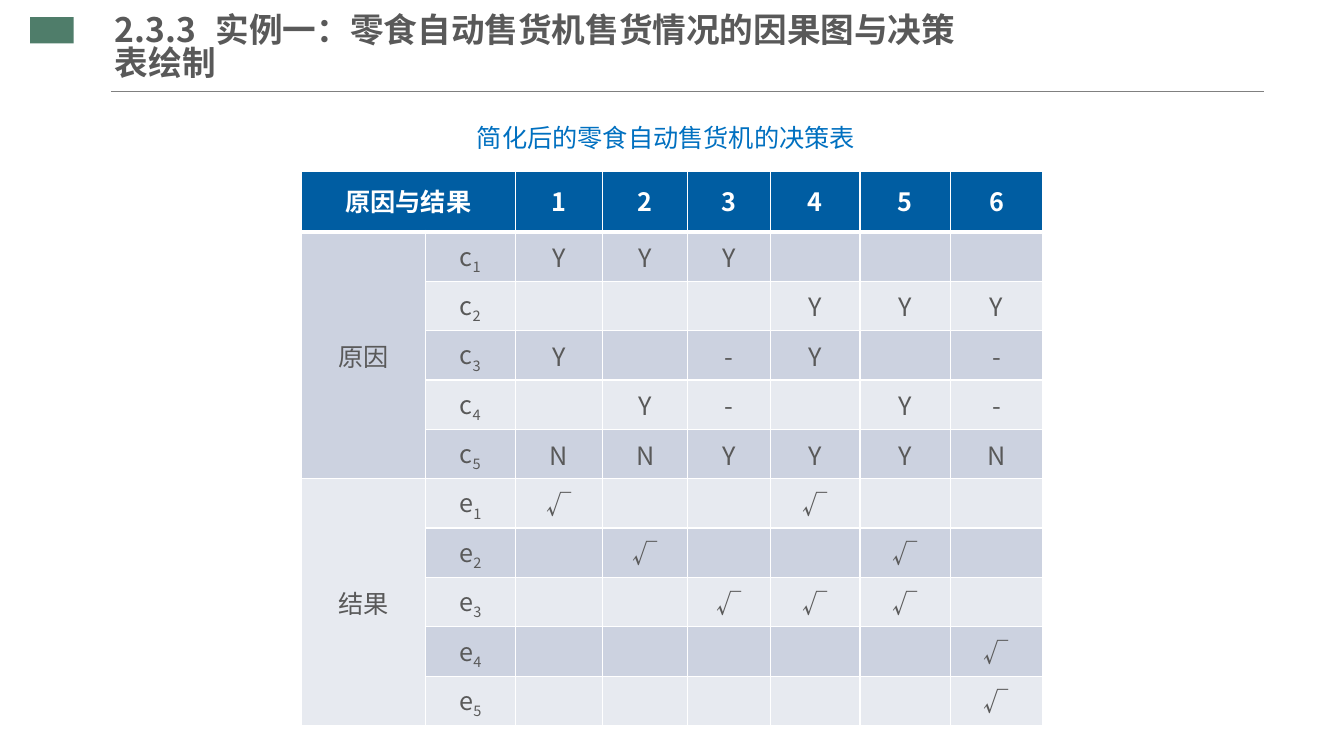
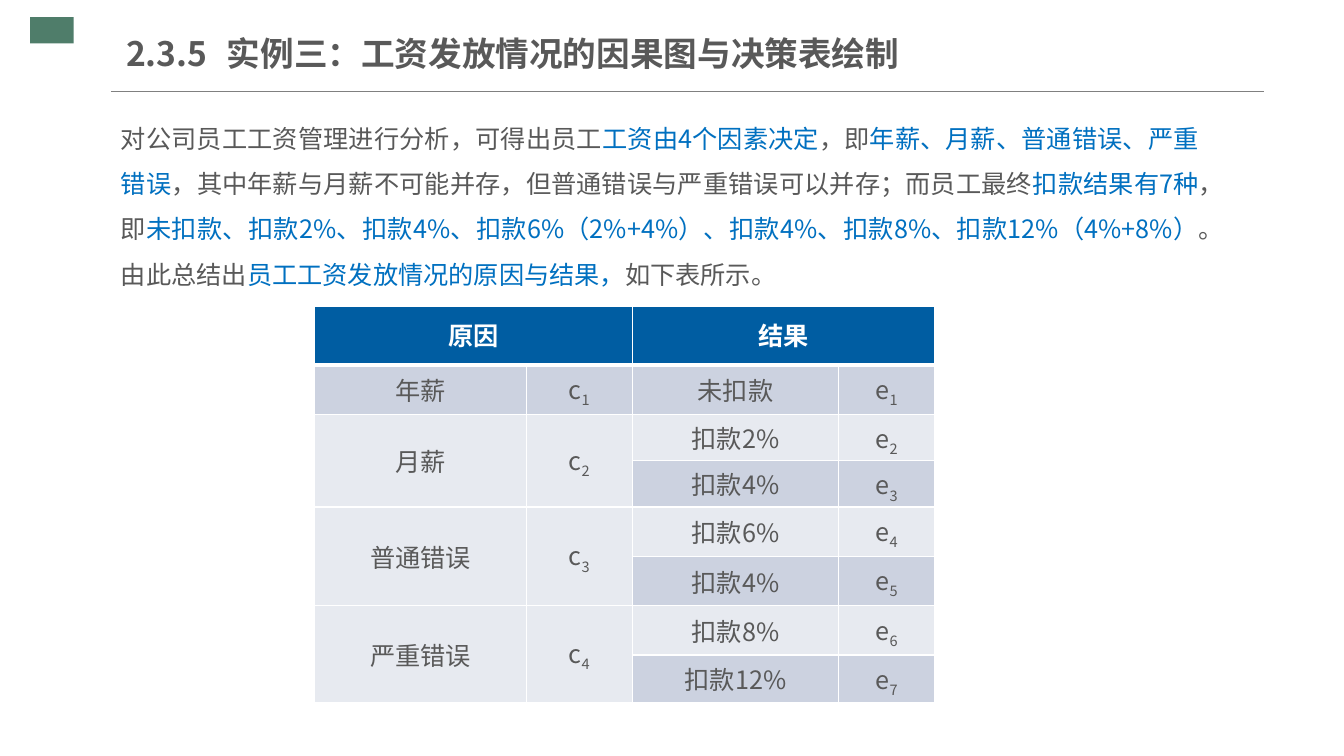
from lxml import etree
from pptx import Presentation
from pptx.dml.color import RGBColor
from pptx.enum import shapes, text
from pptx.oxml.ns import qn
from pptx.util import Inches, Pt

# Shared look
COLORS = {"accent": "4F7D6A", "rule": "808080", "text": "595959", "blue": "0070C0",
          "header": "005DA2", "odd": "CCD2E0", "even": "E7EAF0", "white": "FFFFFF"}
FONT = "Noto Sans CJK SC"
BODY = {"size": Pt(18), "bold": False}
HEADER = {"size": Pt(18), "bold": True}
TITLE = {"size": Pt(24), "bold": True}

# Content: passages are (text, colour); merges are (row, column, last row, last column)
SLIDES = [
    {
        "title": "2.3.3\t实例一：零食自动售货机售货情况的因果图与决策表绘制",
        "title_box": (1.14, 0.21, 8.49, 0.55),
        "passage": [("简化后的零食自动售货机的决策表", "blue")],
        "passage_box": (4.6, 0.99, 4.32, 0.63),
        "table_at": (2.99, 1.7),
        "columns": [1.23, 0.89, 0.87, 0.84, 0.82, 0.89, 0.9, 0.91],
        "rows": [0.6] + [0.49] * 10,
        "merges": [(0, 0, 0, 1), (1, 0, 5, 0), (6, 0, 10, 0)],
        "cells": [
            ["原因与结果", "", "1", "2", "3", "4", "5", "6"],
            ["原因", "c1", "Y", "Y", "Y", "", "", ""],
            ["", "c2", "", "", "", "Y", "Y", "Y"],
            ["", "c3", "Y", "", "-", "Y", "", "-"],
            ["", "c4", "", "Y", "-", "", "Y", "-"],
            ["", "c5", "N", "N", "Y", "Y", "Y", "N"],
            ["结果", "e1", "√", "", "", "√", "", ""],
            ["", "e2", "", "√", "", "", "√", ""],
            ["", "e3", "", "", "√", "√", "√", ""],
            ["", "e4", "", "", "", "", "", "√"],
            ["", "e5", "", "", "", "", "", "√"],
        ],
    },
    {
        "title": "2.3.5\t实例三：工资发放情况的因果图与决策表绘制",
        "title_box": (1.25, 0.29, 7.67, 0.55),
        "passage": [
            ("对公司员工工资管理进行分析，可得出员工", "text"),
            ("工资由4个因素决定", "blue"),
            ("，即", "text"),
            ("年薪、月薪、普通错误、严重错误", "blue"),
            ("，其中年薪与月薪不可能并存，但普通错误与严重错误可以并存；而员工最终", "text"),
            ("扣款结果有7种", "blue"),
            ("，即", "text"),
            ("未扣款、扣款2%、扣款4%、扣款6%（2%+4%）、扣款4%、扣款8%、扣款12%（4%+8%）", "blue"),
            ("。由此总结出", "text"),
            ("员工工资发放情况的原因与结果，", "blue"),
            ("如下表所示。", "text"),
        ],
        "passage_box": (1.07, 1, 10.95, 1.95),
        "table_at": (3.12, 3.04),
        "columns": [2.1, 1.05, 2.05, 0.95],
        "rows": [0.58, 0.49, 0.46, 0.46, 0.49, 0.49, 0.49, 0.47],
        "merges": [(0, 0, 0, 1), (0, 2, 0, 3)]
                  + [(row, column, row + 1, column) for row in (2, 4, 6) for column in (0, 1)],
        "cells": [
            ["原因", "", "结果", ""],
            ["年薪", "c1", "未扣款", "e1"],
            ["月薪", "c2", "扣款2%", "e2"],
            ["", "", "扣款4%", "e3"],
            ["普通错误", "c3", "扣款6%", "e4"],
            ["", "", "扣款4%", "e5"],
            ["严重错误", "c4", "扣款8%", "e6"],
            ["", "", "扣款12%", "e7"],
        ],
    },
]


def rgb(name):
    return RGBColor.from_string(COLORS[name])


def set_all(target, values):
    for name, value in values.items():
        setattr(target, name, value)


def add_run(paragraph, content, style, color):
    run = paragraph.add_run()
    run.text = content
    set_all(run.font, {**style, "name": FONT})
    run.font.color.rgb = rgb(color)
    etree.SubElement(run._r.get_or_add_rPr(), qn("a:ea")).set("typeface", FONT)
    return run


def decorate_layout(layout, slide):
    """Draw the corner block and title rule, then hand them to the layout."""
    block = slide.shapes.add_shape(shapes.MSO_SHAPE.RECTANGLE, Inches(0.3), Inches(0.17),
                                   Inches(0.43), Inches(0.26))
    block.shadow.inherit = False
    block.fill.solid()
    block.fill.fore_color.rgb = rgb("accent")
    block.line.fill.background()
    rule = slide.shapes.add_connector(shapes.MSO_CONNECTOR.STRAIGHT, Inches(1.1), Inches(0.91),
                                      Inches(12.54), Inches(0.91))
    rule.line.color.rgb = rgb("rule")
    rule.line.width = Pt(0.75)
    etree.SubElement(rule.element.spPr, qn("a:effectLst"))
    for shape in (block, rule):
        layout.shapes.element.append(shape.element)


def place_title(slide, content, box):
    title = slide.shapes.title
    set_all(title, dict(zip(("left", "top", "width", "height"), map(Inches, box))))
    frame = title.text_frame
    set_all(frame, {"margin_left": 0, "margin_right": 0, "margin_top": Inches(0.07),
                    "margin_bottom": Inches(0.07), "word_wrap": True,
                    "auto_size": text.MSO_AUTO_SIZE.NONE,
                    "vertical_anchor": text.MSO_ANCHOR.MIDDLE})
    paragraph = frame.paragraphs[0]
    set_all(paragraph, {"alignment": text.PP_ALIGN.LEFT, "line_spacing": 0.82})
    add_run(paragraph, content, TITLE, "text")


def add_passage(slide, passage, box):
    frame = slide.shapes.add_textbox(*map(Inches, box)).text_frame
    set_all(frame, {"margin_left": Inches(0.13), "margin_right": Inches(0.13),
                    "margin_top": Inches(0.07), "margin_bottom": Inches(0.07),
                    "word_wrap": True})
    paragraph = frame.paragraphs[0]
    set_all(paragraph, {"alignment": text.PP_ALIGN.JUSTIFY, "line_spacing": 1.5})
    for content, color in passage:
        add_run(paragraph, content, BODY, color)


def add_borders(cell, bottom_width):
    properties = cell._tc.get_or_add_tcPr()
    for side, width in (("L", 1), ("R", 1), ("T", 1), ("B", bottom_width)):
        line = etree.SubElement(properties, qn("a:ln" + side), w=str(Pt(width)))
        fill = etree.SubElement(line, qn("a:solidFill"))
        etree.SubElement(fill, qn("a:srgbClr"), val=COLORS["white"])


def fill_cell(cell, content, row):
    is_header = row == 0
    add_borders(cell, 3 if is_header else 1)
    cell.fill.solid()
    cell.fill.fore_color.rgb = rgb("header" if is_header else "odd" if row % 2 else "even")
    cell.vertical_anchor = text.MSO_ANCHOR.MIDDLE
    paragraph = cell.text_frame.paragraphs[0]
    set_all(paragraph, {"alignment": text.PP_ALIGN.CENTER,
                        "line_spacing": 0.9 if is_header else 1.0})
    style, color = (HEADER, "white") if is_header else (BODY, "text")
    if content[:1] in ("c", "e"):  # symbol with a subscript number
        add_run(paragraph, content[0], style, color)
        index = add_run(paragraph, content[1:], style, color)
        index._r.get_or_add_rPr().set("baseline", "-25000")
    elif content:
        add_run(paragraph, content, style, color)
    else:
        paragraph.font.size = style["size"]


def add_decision_table(slide, data):
    columns, rows = data["columns"], data["rows"]
    left, top = data["table_at"]
    table = slide.shapes.add_table(len(rows), len(columns), Inches(left), Inches(top),
                                   Inches(sum(columns)), Inches(sum(rows))).table
    for column, width in zip(table.columns, columns):
        column.width = Inches(width)
    for row, height in zip(table.rows, rows):
        row.height = Inches(height)
    for row, contents in enumerate(data["cells"]):
        for column, content in enumerate(contents):
            fill_cell(table.cell(row, column), content, row)
    for first_row, first_column, last_row, last_column in data["merges"]:
        table.cell(first_row, first_column).merge(table.cell(last_row, last_column))


def main():
    presentation = Presentation()
    presentation.slide_width, presentation.slide_height = Inches(13.33), Inches(7.5)
    layout = presentation.slide_layouts.get_by_name("Title Only")
    for number, data in enumerate(SLIDES):
        slide = presentation.slides.add_slide(layout)
        if number == 0:
            decorate_layout(layout, slide)
        place_title(slide, data["title"], data["title_box"])
        add_passage(slide, data["passage"], data["passage_box"])
        add_decision_table(slide, data)
    presentation.save("out.pptx")


if __name__ == "__main__":
    main()
